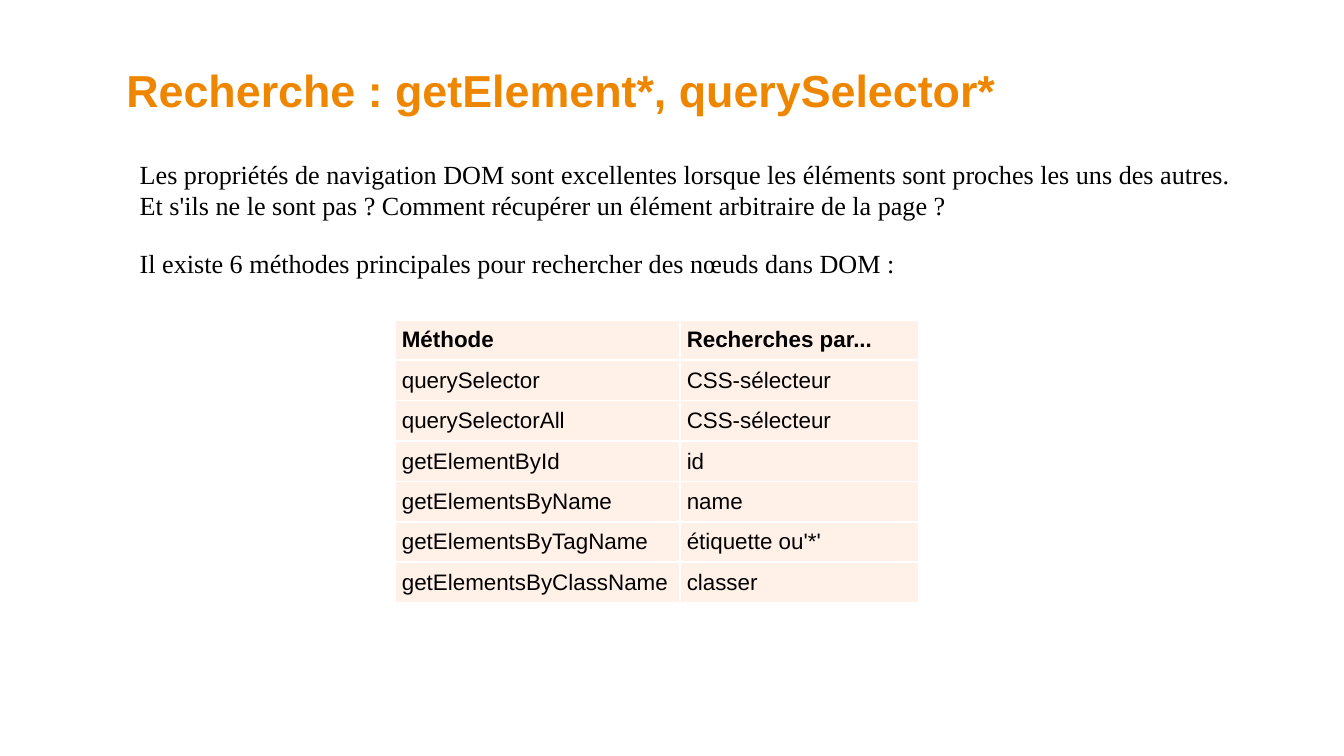
from lxml import etree
from pptx import Presentation
from pptx import util as u
from pptx.dml.color import RGBColor
from pptx.enum import text
from pptx.oxml import ns

EMU_PER_PX = 4572  # 200 px to the inch
COLORS = {"title": "EF8600", "text": "000000", "cell": "FFF1E8", "border": "FFFFFF"}
INSET = 10

INTRODUCTION = [
    # top, width, height, text
    (0, 1686, 108, "Les propriétés de navigation DOM sont excellentes lorsque les éléments "
     "sont proches les uns des autres. Et s'ils ne le sont pas ? "
     "Comment récupérer un élément arbitraire de la page ?"),
    (132, 1248, 62, "Il existe 6 méthodes principales pour rechercher des nœuds dans DOM :"),
]
METHODS = [
    ("Méthode", "Recherches par..."),
    ("querySelector", "CSS-sélecteur"),
    ("querySelectorAll", "CSS-sélecteur"),
    ("getElementById", "id"),
    ("getElementsByName", "name"),
    ("getElementsByTagName", "étiquette ou'*'"),
    ("getElementsByClassName", "classer"),
]


def px(length):
    return u.Emu(length * EMU_PER_PX)


def set_margins(target, inset):
    for side in ("left", "top", "right", "bottom"):
        setattr(target, f"margin_{side}", px(inset))


def style_font(paragraph, name, size, color, bold=False):
    font = paragraph.font
    font.name, font.size, font.bold = name, u.Pt(size), bold
    font.color.rgb = RGBColor.from_string(COLORS[color])


def add_text(slide, box, content, inset, **style):
    frame = slide.shapes.add_textbox(*map(px, box)).text_frame
    frame.word_wrap = True
    frame.auto_size = text.MSO_AUTO_SIZE.SHAPE_TO_FIT_TEXT
    set_margins(frame, inset)
    paragraph = frame.paragraphs[0]
    paragraph.text = content
    style_font(paragraph, **style)


def add_title(slide, box):
    add_text(slide, box, "Recherche : getElement*, querySelector*", 0,
             name="Arial", size=24, color="title", bold=True)


def add_introduction(slide, left, top):
    for offset, width, height, content in INTRODUCTION:
        add_text(slide, (left, top + offset, width, height), content, INSET,
                 name="Times New Roman", size=14, color="text")


def add_cell_borders(cell):
    """Insert the border lines ahead of the fill, as the schema requires."""
    properties = cell._tc.get_or_add_tcPr()
    for index, tag in enumerate(("a:lnL", "a:lnR", "a:lnT", "a:lnB")):
        line = etree.Element(ns.qn(tag), w=str(u.Pt(1)))
        fill = etree.SubElement(line, ns.qn("a:solidFill"))
        etree.SubElement(fill, ns.qn("a:srgbClr"), val=COLORS["border"])
        properties.insert(index, line)


def add_methods_table(slide, left, top, column_widths, row_height):
    box = (left, top, sum(column_widths), row_height * len(METHODS))
    table = slide.shapes.add_table(len(METHODS), len(column_widths), *map(px, box)).table
    table.horz_banding = False
    for column, width in zip(table.columns, column_widths):
        column.width = px(width)
    for row_index, labels in enumerate(METHODS):
        table.rows[row_index].height = px(row_height)
        for column_index, label in enumerate(labels):
            cell = table.cell(row_index, column_index)
            cell.text = label
            cell.vertical_anchor = text.MSO_ANCHOR.MIDDLE
            set_margins(cell, INSET)
            cell.fill.solid()
            cell.fill.fore_color.rgb = RGBColor.from_string(COLORS["cell"])
            add_cell_borders(cell)
            style_font(cell.text_frame.paragraphs[0], "Arial", 12, "text",
                       bold=row_index == 0)


def main():
    presentation = Presentation()
    presentation.slide_width, presentation.slide_height = px(2000), px(1125)
    slide = presentation.slides.add_slide(presentation.slide_layouts[6])
    add_title(slide, (188, 94, 1620, 78))
    add_introduction(slide, 198, 226)
    add_methods_table(slide, 588, 476, (424, 356), 60)
    presentation.save("out.pptx")


if __name__ == "__main__":
    main()
